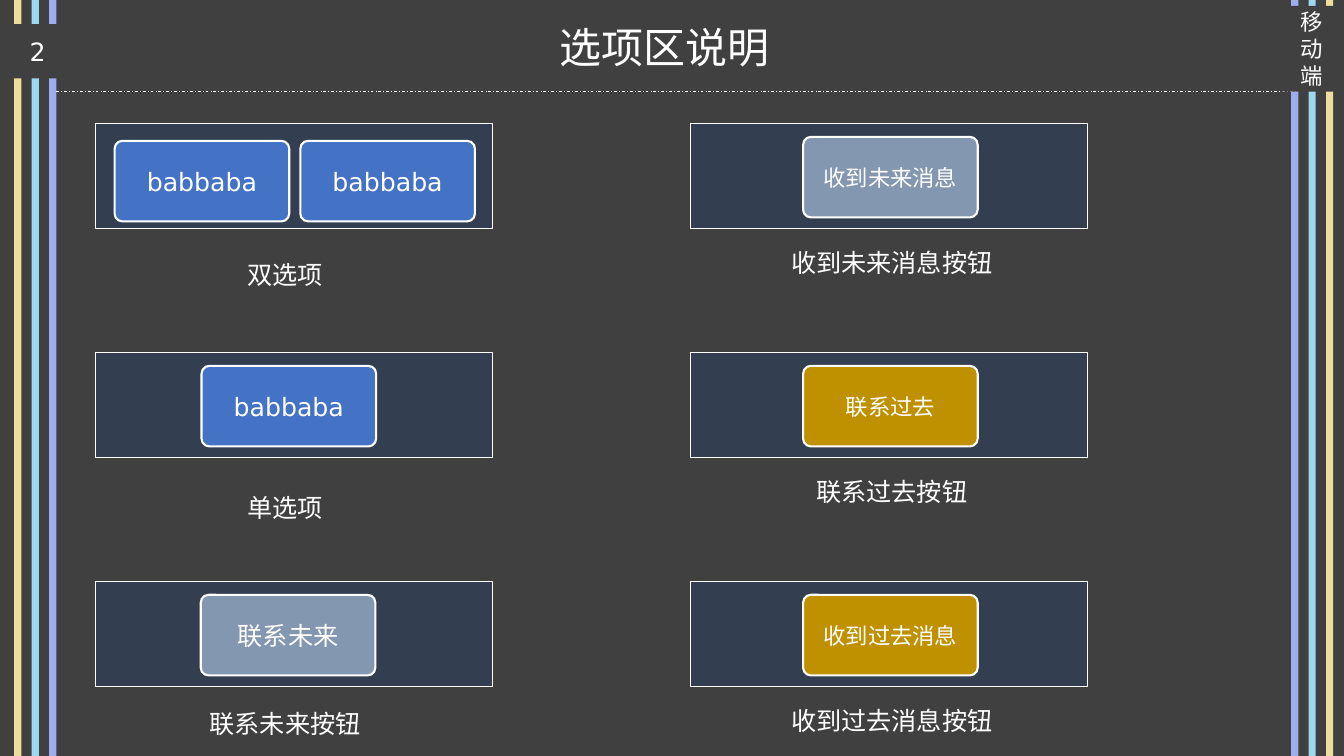
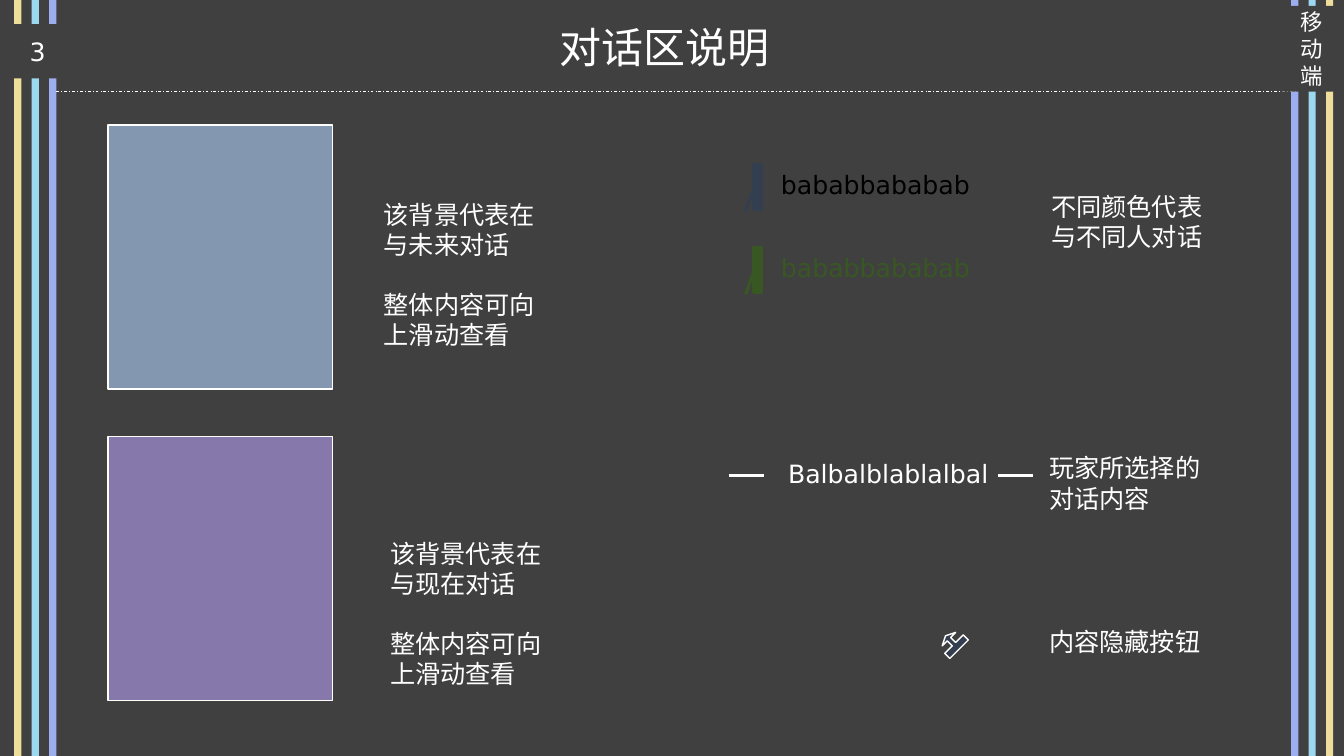
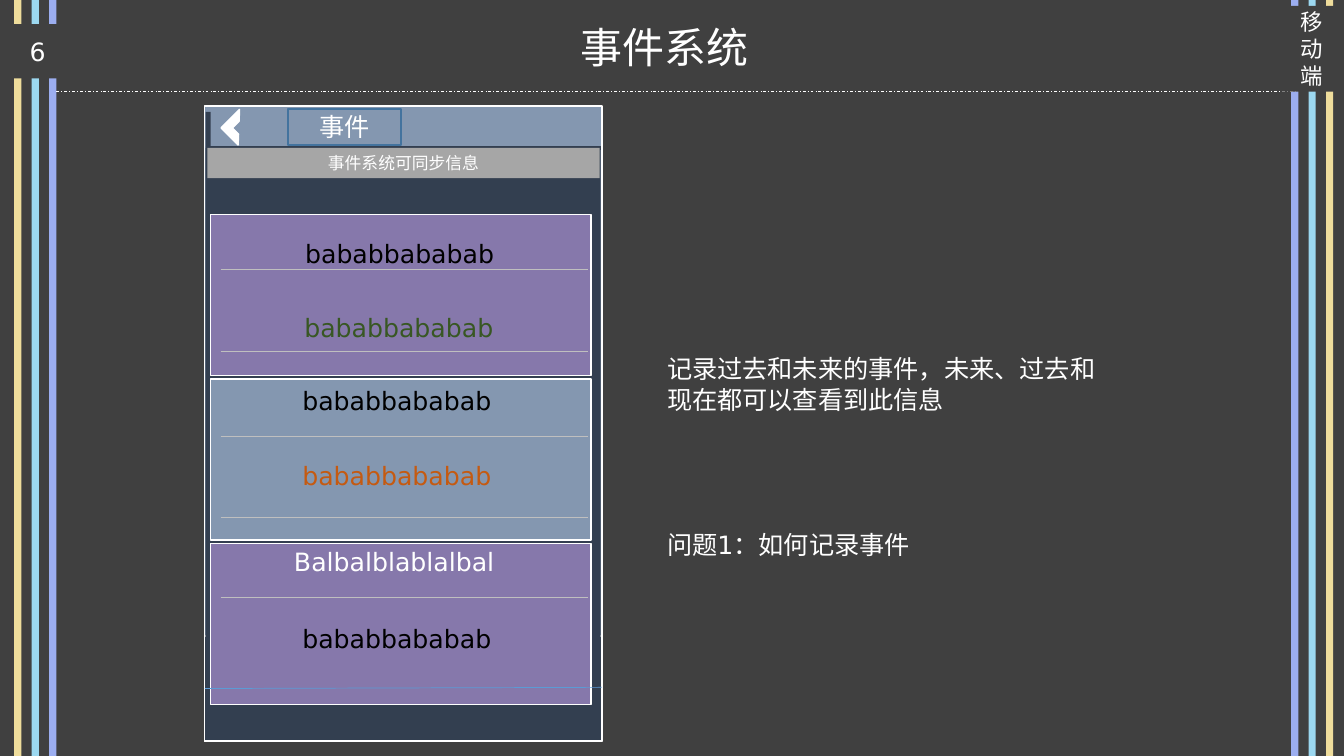
"""Build three slides that explain the mobile options, dialogue and event screens."""
from dataclasses import dataclass
from typing import Any, NamedTuple, Optional

from pptx import Presentation
from pptx import slide as sl
from pptx import util as u
from pptx.dml import color
from pptx.enum import dml, shapes, text
from pptx.oxml import ns

Cm = u.Cm
Kind = shapes.MSO_SHAPE


@dataclass(frozen=True)
class Theme:
    font: str = "DejaVu Sans"
    background: str = "404040"
    white: str = "FFFFFF"
    black: str = "000000"
    navy: str = "333F50"
    blue: str = "4472C4"
    steel: str = "8497B0"
    gold: str = "BF9000"
    purple: str = "8678AB"
    green: str = "385723"
    orange: str = "C55A11"
    tab_line: str = "43739E"
    sky: str = "5B9BD5"
    notice: str = "A6A6A6"
    divider: str = "BFBFBF"
    stripes: tuple[str, ...] = ("EFDD9C", "9CD8F0", "9CAEF0")
    title: float = 30
    body: float = 18
    small: float = 16
    tiny: float = 12
    hairline: float = 0.5
    outline: float = 1
    button: float = 1.5
    heavy: float = 2.25


T = Theme()


class Box(NamedTuple):
    x: float
    y: float
    w: float
    h: float


class Button(NamedTuple):
    label: str
    dx: float
    fill: str
    size: float = T.body
    dy: float = 0.33


class Option(NamedTuple):
    col: int
    row: int
    caption: str
    caption_dy: float
    buttons: tuple[Button, ...]


class Note(NamedTuple):
    box: Box
    paragraphs: tuple[str, ...]
    colour: str = T.white


SLIDE_W, SLIDE_H = 33.87, 19.05
STRIPE_W, STRIPE_STEP = 0.18, 0.44
STRIPE_LEFT, STRIPE_RIGHT = 0.36, 32.54
PANEL_W, PANEL_H = 10.01, 2.64
PANEL_X, CAPTION_X = (2.41, 17.4), (2.41, 17.7)
PANEL_Y, PANEL_STEP = 3.12, 5.77
LINE_H, TWO_LINES_H = 1.02, 1.8
SAMPLE, CHOICE = "bababbababab", "Balbalblablalbal"

OPTIONS = (
    Option(0, 0, "双选项", 3.28, (Button("babbaba", 0.48, T.blue, dy=0.43),
                               Button("babbaba", 5.16, T.blue, dy=0.43))),
    Option(0, 1, "单选项", 3.38, (Button("babbaba", 2.67, T.blue),)),
    Option(0, 2, "联系未来按钮", 3.07, (Button("联系未来", 2.65, T.steel),)),
    Option(1, 0, "收到未来消息按钮", 3, (Button("收到未来消息", 2.84, T.steel, T.small),)),
    Option(1, 1, "联系过去按钮", 3, (Button("联系过去", 2.84, T.gold, T.small),)),
    Option(1, 2, "收到过去消息按钮", 3, (Button("收到过去消息", 2.84, T.gold, T.small),)),
)

DIALOGUE_NOTES = (
    Note(Box(9.42, 4.9, 4.5, 4.11), ("该背景代表在与未来对话", "整体内容可向上滑动查看")),
    Note(Box(9.58, 13.44, 4.55, 4.88), ("该背景代表在与现在对话", "整体内容可向上滑动查看")),
    Note(Box(26.24, 4.7, 4.55, TWO_LINES_H), ("不同颜色代表与不同人对话",)),
    Note(Box(19.61, 11.43, 5.97, TWO_LINES_H), (CHOICE,)),
    Note(Box(26.19, 11.28, 4.55, TWO_LINES_H), ("玩家所选择的对话内容",)),
    Note(Box(26.19, 15.67, 4.55, LINE_H), ("内容隐藏按钮",)),
)

EVENT_NOTES = (
    Note(Box(7.16, 13.64, 5.97, TWO_LINES_H), (CHOICE,)),
    Note(Box(7.44, 5.87, 5.46, LINE_H), (SAMPLE,), T.black),
    Note(Box(7.42, 7.75, 5.46, LINE_H), (SAMPLE,), T.green),
    Note(Box(7.37, 9.58, 5.46, LINE_H), (SAMPLE,), T.black),
    Note(Box(7.37, 11.48, 5.46, LINE_H), (SAMPLE,), T.orange),
    Note(Box(7.37, 15.57, 5.46, LINE_H), (SAMPLE,), T.black),
    Note(Box(16.56, 8.79, 11.61, TWO_LINES_H), ("记录过去和未来的事件，未来、过去和现在都可以查看到此信息",)),
    Note(Box(16.56, 13.21, 11.61, LINE_H), ("问题1：如何记录事件",)),
)


def rgb(value: str) -> color.RGBColor:
    return color.RGBColor.from_string(value)


def apply(target: Any, values: dict[str, Any]) -> None:
    for name, value in values.items():
        setattr(target, name, value)


def write(sp: Any, paragraphs: tuple[str, ...], size: float = T.body, colour: str = T.white,
          align: Any = text.PP_ALIGN.CENTER, anchor: Any = text.MSO_ANCHOR.MIDDLE,
          fit: Any = text.MSO_AUTO_SIZE.NONE) -> None:
    tf = sp.text_frame
    apply(tf, {"word_wrap": True, "vertical_anchor": anchor, "auto_size": fit})
    for i, line in enumerate(paragraphs):
        p = tf.add_paragraph() if i else tf.paragraphs[0]
        p.alignment = align
        if i:
            p.space_before = u.Pt(21)
        r = p.add_run()
        r.text = line
        apply(r.font, {"name": T.font, "size": u.Pt(size)})
        r.font.color.rgb = rgb(colour)


def add_shape(s: sl.Slide, box: Box, fill: Optional[str], line: Optional[str] = None,
              width: float = T.outline, kind: Any = Kind.RECTANGLE,
              adj: tuple[float, ...] = (), rotation: float = 0) -> Any:
    sp = s.shapes.add_shape(kind, *map(Cm, box))
    apply(sp, {"rotation": rotation})
    sp.shadow.inherit = False
    for i, value in enumerate(adj):
        sp.adjustments[i] = value
    if fill:
        sp.fill.solid()
        sp.fill.fore_color.rgb = rgb(fill)
    else:
        sp.fill.background()
    if line:
        sp.line.color.rgb = rgb(line)
        sp.line.width = u.Pt(width)
    else:
        sp.line.fill.background()
    return sp


def add_line(s: sl.Slide, x1: float, y1: float, x2: float, y2: float,
             colour: str, width: float, dash: Any = None) -> None:
    c = s.shapes.add_connector(shapes.MSO_CONNECTOR.STRAIGHT, *map(Cm, (x1, y1, x2, y2)))
    c.line.color.rgb = rgb(colour)
    apply(c.line, {"width": u.Pt(width), "dash_style": dash})
    c._element.spPr.append(c._element.makeelement(ns.qn("a:effectLst"), {}))


def add_note(s: sl.Slide, note: Note, align: Any = text.PP_ALIGN.LEFT) -> None:
    write(s.shapes.add_textbox(*map(Cm, note.box)), note.paragraphs, colour=note.colour,
          align=align, anchor=text.MSO_ANCHOR.TOP, fit=text.MSO_AUTO_SIZE.SHAPE_TO_FIT_TEXT)


def add_slide(prs: Any, title: str, number: str) -> sl.Slide:
    s = prs.slides.add_slide(prs.slide_layouts[6])
    for left, colours in ((STRIPE_LEFT, T.stripes), (STRIPE_RIGHT, T.stripes[::-1])):
        for i, colour in enumerate(colours):
            add_shape(s, Box(left + i * STRIPE_STEP, 0, STRIPE_W, SLIDE_H), colour)
    write(s.shapes.add_textbox(*map(Cm, Box(10.54, 0.36, 12.42, 1.63))), (title,), T.title)
    add_line(s, 1.42, 2.31, 32.64, 2.31, T.white, T.hairline, dml.MSO_LINE.DASH_DOT)
    write(add_shape(s, Box(0, 0.61, 1.9, 1.37), T.background), (number,))
    write(add_shape(s, Box(32.28, 0.15, 1.57, 2.16), T.background), ("移动端",), T.small)
    return s


def options_slide(prs: Any) -> None:
    s = add_slide(prs, "选项区说明", "2")
    for option in OPTIONS:
        x, y = PANEL_X[option.col], PANEL_Y + option.row * PANEL_STEP
        add_shape(s, Box(x, y, PANEL_W, PANEL_H), T.navy, T.white)
        for b in option.buttons:
            sp = add_shape(s, Box(x + b.dx, y + b.dy, 4.4, 2.03), b.fill, T.white, T.button,
                           Kind.ROUNDED_RECTANGLE, (0.097,))
            write(sp, (b.label,), b.size)
        caption = Box(CAPTION_X[option.col], y + option.caption_dy, 9.55, LINE_H)
        add_note(s, Note(caption, (option.caption,)), text.PP_ALIGN.CENTER)


def dialogue_slide(prs: Any) -> None:
    s = add_slide(prs, "对话区说明", "3")
    for y, fill in ((3.15, T.steel), (11, T.purple)):
        add_shape(s, Box(2.72, y, 5.66, 6.65), fill, T.white)
    for y, bar, ink in ((4.14, T.navy, T.black), (6.23, T.green, T.green)):
        add_shape(s, Box(19, y, 0.18, 1.14), bar, bar, T.heavy, Kind.LINE_CALLOUT_1,
                  (0.565, -0.083, 1.042, -1.153))
        add_note(s, Note(Box(19.43, y, 5.46, LINE_H), (SAMPLE,), ink))
    for x in (18.36, 25.15):
        add_line(s, x, 11.99, x + 0.89, 11.99, T.white, T.heavy)
    add_shape(s, Box(23.67, 15.95, 0.66, 0.48), T.navy, T.white, kind=Kind.UP_ARROW_CALLOUT,
              adj=(0.25, 0.5, 0.25, 0.375), rotation=315)
    for note in DIALOGUE_NOTES:
        add_note(s, note)


def events_slide(prs: Any) -> None:
    s = add_slide(prs, "事件系统", "6")
    add_shape(s, Box(5.16, 2.67, PANEL_W, 16), T.steel, T.white)
    add_line(s, 5.18, 3.73, 15.14, 3.73, T.navy, T.heavy)
    add_shape(s, Box(5.16, 16.03, PANEL_W, PANEL_H), T.navy, T.white)
    add_shape(s, Box(5.18, 2.82, 0.13, 13.34), T.navy)
    add_shape(s, Box(5.18, 3.73, 9.96, 12.42), T.navy)
    for i, fill in enumerate((T.purple, T.steel, T.purple)):
        add_shape(s, Box(5.3, 5.41 + i * 4.14, 9.6, 4.06), fill, T.white)
    tab = add_shape(s, Box(7.26, 2.74, 2.84, 0.91), None, T.tab_line, T.button,
                    Kind.ROUNDED_RECTANGLE, (0,))
    write(tab, ("事件",))
    add_shape(s, Box(5.69, 2.9, 0.66, 0.61), T.white, T.white, kind=Kind.HALF_FRAME, rotation=315)
    add_line(s, 5.16, 17.35, 15.16, 17.32, T.sky, T.hairline)
    write(add_shape(s, Box(5.23, 3.73, 9.88, 0.76), T.notice), ("事件系统可同步信息",), T.tiny)
    for y in (6.78, 8.86, 11, 13.03, 15.04):
        add_line(s, 5.56, y, 14.83, y, T.divider, T.hairline)
    for note in EVENT_NOTES:
        add_note(s, note)


def main() -> None:
    prs = Presentation()
    apply(prs, {"slide_width": Cm(SLIDE_W), "slide_height": Cm(SLIDE_H)})
    fill = prs.slide_master.background.fill
    fill.solid()
    fill.fore_color.rgb = rgb(T.background)
    for build in (options_slide, dialogue_slide, events_slide):
        build(prs)
    prs.save("out.pptx")


if __name__ == "__main__":
    main()
